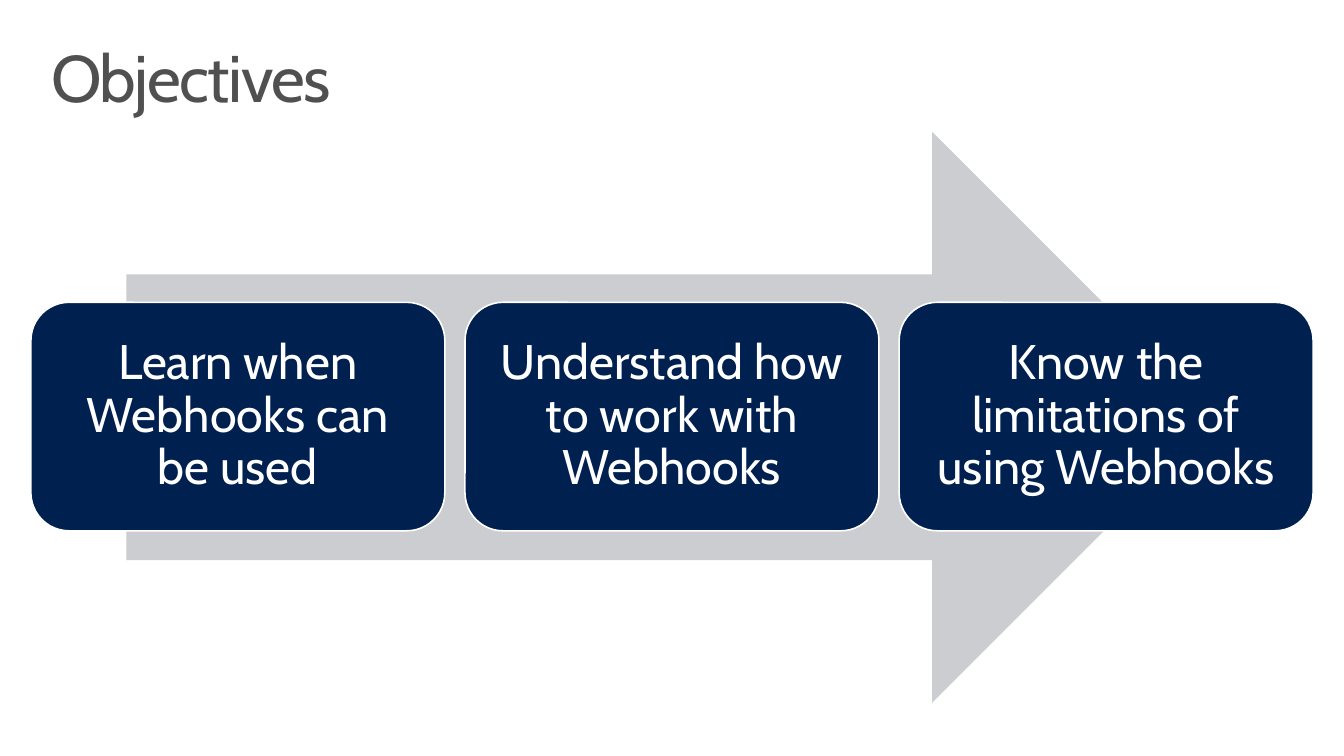
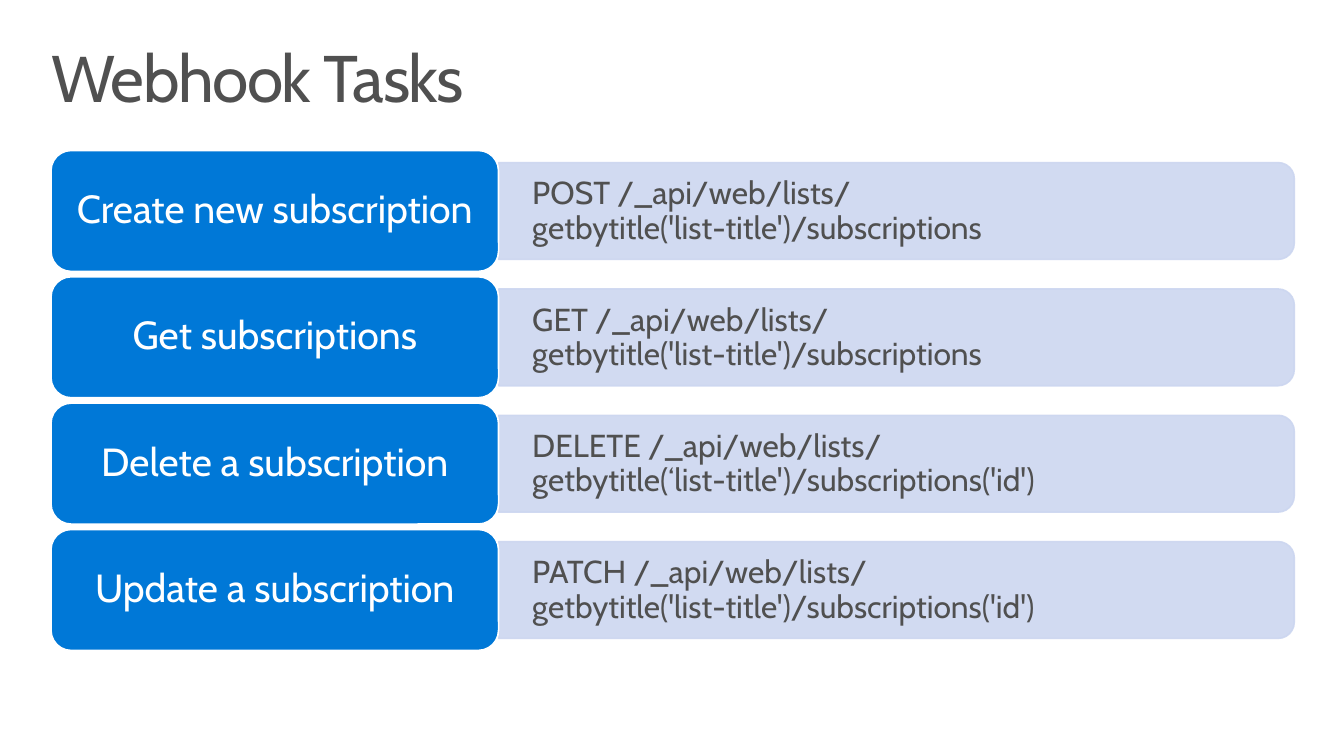
"""Build two slides on webhooks: the objectives and the tasks."""
from lxml.etree import SubElement
from pptx import Presentation
from pptx.dml.color import RGBColor
from pptx.enum.shapes import MSO_SHAPE as Kind
from pptx.enum.text import MSO_ANCHOR as Anchor, PP_ALIGN as Align
from pptx.oxml.ns import qn
from pptx.util import Inches, Pt

WIDTH = 10
HEIGHT = WIDTH * 9 / 16
FONT = "Cabin"
COLORS = {
    "white": "FFFFFF", "ink": "505050", "arrow": "CCCDD0",
    "navy": "002050", "blue": "0078D7", "pale": "CCD6F0",
}
GOALS = [
    "Learn when Webhooks can be used",
    "Understand how to work with Webhooks",
    "Know the limitations of using Webhooks",
]
TASKS = [
    ("Create new subscription", "POST", "getbytitle('list-title')/subscriptions"),
    ("Get subscriptions", "GET", "getbytitle('list-title')/subscriptions"),
    ("Delete a subscription", "DELETE", "getbytitle(‘list-title')/subscriptions('id')"),
    ("Update a subscription", "PATCH", "getbytitle('list-title')/subscriptions('id')"),
]
ROOT = "/_api/web/lists/"


def tint(name):
    return RGBColor.from_string(COLORS[name])


def write(shape, lines, size, color, pad, align=Align.LEFT, anchor=Anchor.MIDDLE):
    frame = shape.text_frame
    frame.word_wrap = True
    frame.vertical_anchor = anchor
    frame.margin_left = frame.margin_right = Inches(pad[0])
    frame.margin_top = frame.margin_bottom = Inches(pad[1])
    para = frame.paragraphs[0]
    para.alignment = align
    para.line_spacing = 0.9
    for i, line in enumerate(lines):
        if i:
            para.add_line_break()
        run = para.add_run()
        run.text = line
        run.font.size = Pt(size)
        run.font.name = FONT
        run.font.color.rgb = tint(color)
    return para


def draw(slide, kind, box, fill, edge=None):
    shape = slide.shapes.add_shape(kind, *map(Inches, box))
    shape.shadow.inherit = False
    shape.fill.solid()
    shape.fill.fore_color.rgb = tint(fill)
    if edge:
        shape.line.color.rgb = tint(edge)
        shape.line.width = Pt(0.85)
    else:
        shape.line.fill.background()
    return shape


def card(slide, box, fill, text, size, pad):
    shape = draw(slide, Kind.ROUNDED_RECTANGLE, box, fill, "white")
    write(shape, [text], size, "white", pad, Align.CENTER)


def panel(slide, left, mid, width, height, lines):
    box = (left + (width - height) / 2, mid - width / 2, height, width)
    shape = draw(slide, Kind.ROUND_2_SAME_RECTANGLE, box, "pale", "pale")
    shape.rotation = 90
    for node in shape._element.spPr.iter(qn("a:srgbClr")):
        SubElement(node, qn("a:alpha")).set("val", "90000")
    text = slide.shapes.add_textbox(
        *map(Inches, (left, mid - 0.32, width - 0.03, 0.65)))
    para = write(text, lines, 17, "ink", (0.07, 0.04))
    props = para._p.get_or_add_pPr()
    props.set("marL", str(Inches(0.18)))
    props.set("indent", "0")


def start(deck, title):
    slide = deck.slides.add_slide(deck.slide_layouts[6])
    box = slide.shapes.add_textbox(*map(Inches, (0.22, 0.24, 9.56, 0.74)))
    para = write(box, [title], 35.3, "ink", (0.16, 0.1), anchor=Anchor.TOP)
    para.runs[0].font._element.set("spc", "-80")
    return slide


def goals(deck):
    slide = start(deck, "Objectives")
    wide, high, gap = 3.08, 1.7, 0.15
    count = len(GOALS)
    left = (WIDTH - count * wide - (count - 1) * gap) / 2
    draw(slide, Kind.RIGHT_ARROW, (0.94, 0.98, 8.12, 4.25), "arrow")
    for i, text in enumerate(GOALS):
        box = (left + i * (wide + gap), 2.25, wide, high)
        card(slide, box, "navy", text, 26, (0.11, 0.11))


def tasks(deck):
    slide = start(deck, "Webhook Tasks")
    left, top, wide, high, gap = 0.38, 1.12, 3.33, 0.9, 0.04
    for i, (name, verb, call) in enumerate(TASKS):
        y = top + i * (high + gap)
        panel(slide, left + wide, y + high / 2, 5.92, 0.8 * high,
              [f"{verb} {ROOT}", call])
        card(slide, (left, y, wide, high), "blue", name, 21, (0.09, 0.04))


def main():
    deck = Presentation()
    deck.slide_width, deck.slide_height = Inches(WIDTH), Inches(HEIGHT)
    goals(deck)
    tasks(deck)
    deck.save("out.pptx")


if __name__ == "__main__":
    main()
